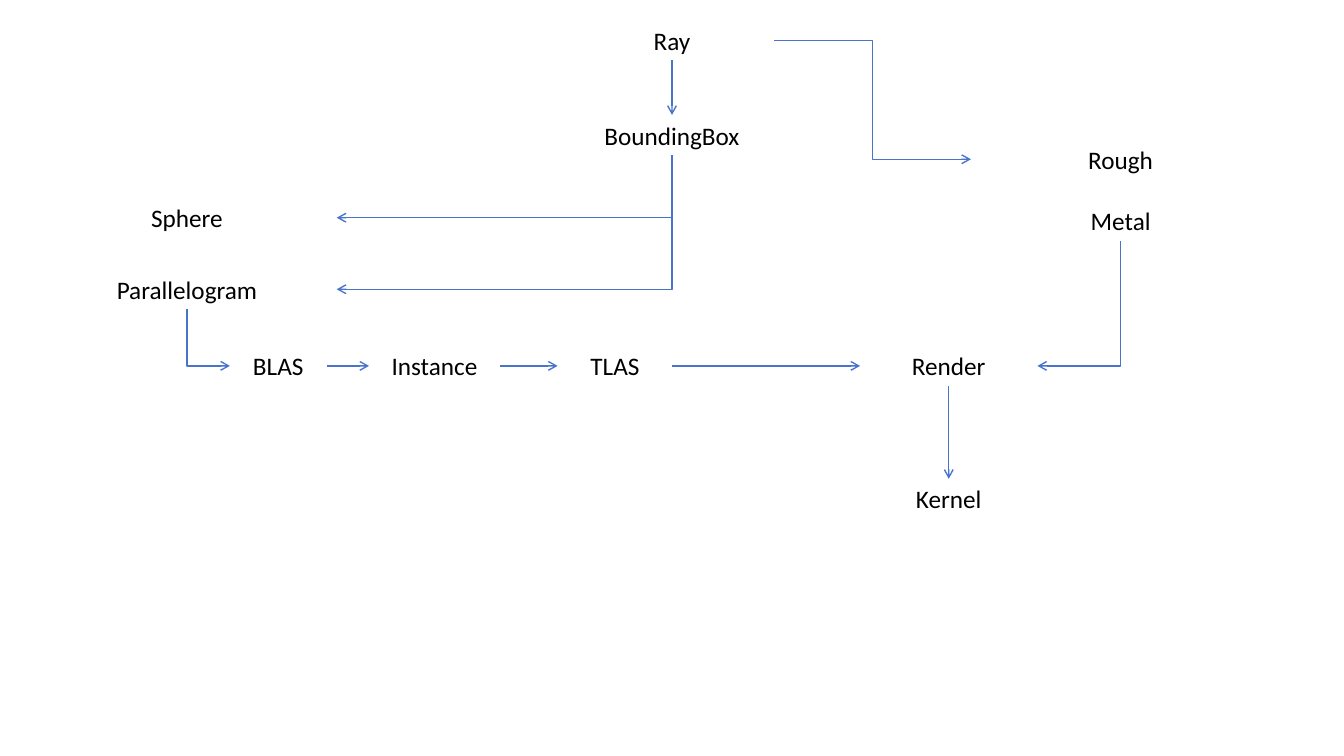
from dataclasses import dataclass

from lxml.etree import SubElement
from pptx import Presentation
from pptx.dml.color import RGBColor
from pptx.enum.shapes import MSO_CONNECTOR as CONN
from pptx.enum.text import MSO_AUTO_SIZE as AUTO, PP_ALIGN as ALIGN
from pptx.oxml.ns import qn
from pptx.util import Inches, Pt


@dataclass(frozen=True)
class Theme:
    font: str = "Calibri"
    size: Pt = Pt(18)
    text: RGBColor = RGBColor(0x00, 0x00, 0x00)
    line: RGBColor = RGBColor(0x48, 0x74, 0xCB)
    line_width: Pt = Pt(1)


THEME = Theme()
LABEL_HEIGHT = 0.4
TOP, LEFT, BOTTOM, RIGHT = range(4)  # connection sites of a text box

LABELS = {  # name: left, top, width
    "Ray": (5.65, 0.2, 2.03),
    "BoundingBox": (5.18, 1.14, 2.97),
    "Sphere": (0.37, 1.96, 2.97),
    "Parallelogram": (0.37, 2.67, 2.97),
    "Rough": (9.63, 1.38, 2.97),
    "Metal": (9.63, 1.99, 2.97),
    "BLAS": (2.28, 3.43, 0.96),
    "Instance": (3.66, 3.43, 1.3),
    "TLAS": (5.53, 3.43, 1.14),
    "Render": (8.53, 3.43, 1.76),
    "Kernel": (8.23, 4.75, 2.36),
}
DOWN = [("Ray", "BoundingBox"), ("Render", "Kernel")]
ACROSS = [("BLAS", "Instance"), ("Instance", "TLAS"), ("TLAS", "Render")]
CORNERS = [
    ("BoundingBox", "Sphere", RIGHT),
    ("BoundingBox", "Parallelogram", RIGHT),
    ("Parallelogram", "BLAS", LEFT),
    ("Metal", "Render", RIGHT),
]


def add_label(s, name, left, top, width):
    sp = s.shapes.add_textbox(Inches(left), Inches(top), Inches(width), Inches(LABEL_HEIGHT))
    tf = sp.text_frame
    tf.word_wrap = True
    tf.auto_size = AUTO.SHAPE_TO_FIT_TEXT
    p = tf.paragraphs[0]
    p.text = name
    p.alignment = ALIGN.CENTER
    p.font.name = THEME.font
    p.font.size = THEME.size
    p.font.color.rgb = THEME.text
    return sp


def add_arrow(s, start, start_site, end, end_site, kind=CONN.STRAIGHT):
    arrow = s.shapes.add_connector(kind, 0, 0, 0, 0)
    arrow.begin_connect(start, start_site)
    arrow.end_connect(end, end_site)
    arrow.line.color.rgb = THEME.line
    arrow.line.width = THEME.line_width
    SubElement(arrow.line._get_or_add_ln(), qn("a:tailEnd"), type="arrow")
    SubElement(arrow._element.spPr, qn("a:effectLst"))
    return arrow


def add_corner_arrow(s, start, end, end_site):
    """Run down from start, then turn once towards the side of end."""
    arrow = add_arrow(s, start, BOTTOM, end, end_site, CONN.ELBOW)
    x1, y1, x2, y2 = arrow.begin_x, arrow.begin_y, arrow.end_x, arrow.end_y
    run, drop = abs(x2 - x1), y2 - y1
    spPr = arrow._element.spPr
    spPr.find(qn("a:prstGeom")).set("prst", "bentConnector2")
    # The preset turns right then down: a quarter turn makes it down then left.
    xfrm = spPr.find(qn("a:xfrm"))
    xfrm.attrib.clear()
    xfrm.set("rot", "5400000")
    if x2 > x1:
        xfrm.set("flipV", "1")
    arrow.left = (x1 + x2 - drop) // 2
    arrow.top = (y1 + y2 - run) // 2
    arrow.width, arrow.height = drop, run


def main():
    prs = Presentation()
    prs.slide_width, prs.slide_height = Inches(13.33), Inches(7.5)
    s = prs.slides.add_slide(prs.slide_layouts[6])

    labels = {name: add_label(s, name, *place) for name, place in LABELS.items()}
    for start, end in DOWN:
        add_arrow(s, labels[start], BOTTOM, labels[end], TOP)
    for start, end in ACROSS:
        add_arrow(s, labels[start], RIGHT, labels[end], LEFT)
    for start, end, site in CORNERS:
        add_corner_arrow(s, labels[start], labels[end], site)
    add_arrow(s, labels["Ray"], RIGHT, labels["Rough"], LEFT, CONN.ELBOW)

    prs.save("out.pptx")


if __name__ == "__main__":
    main()
